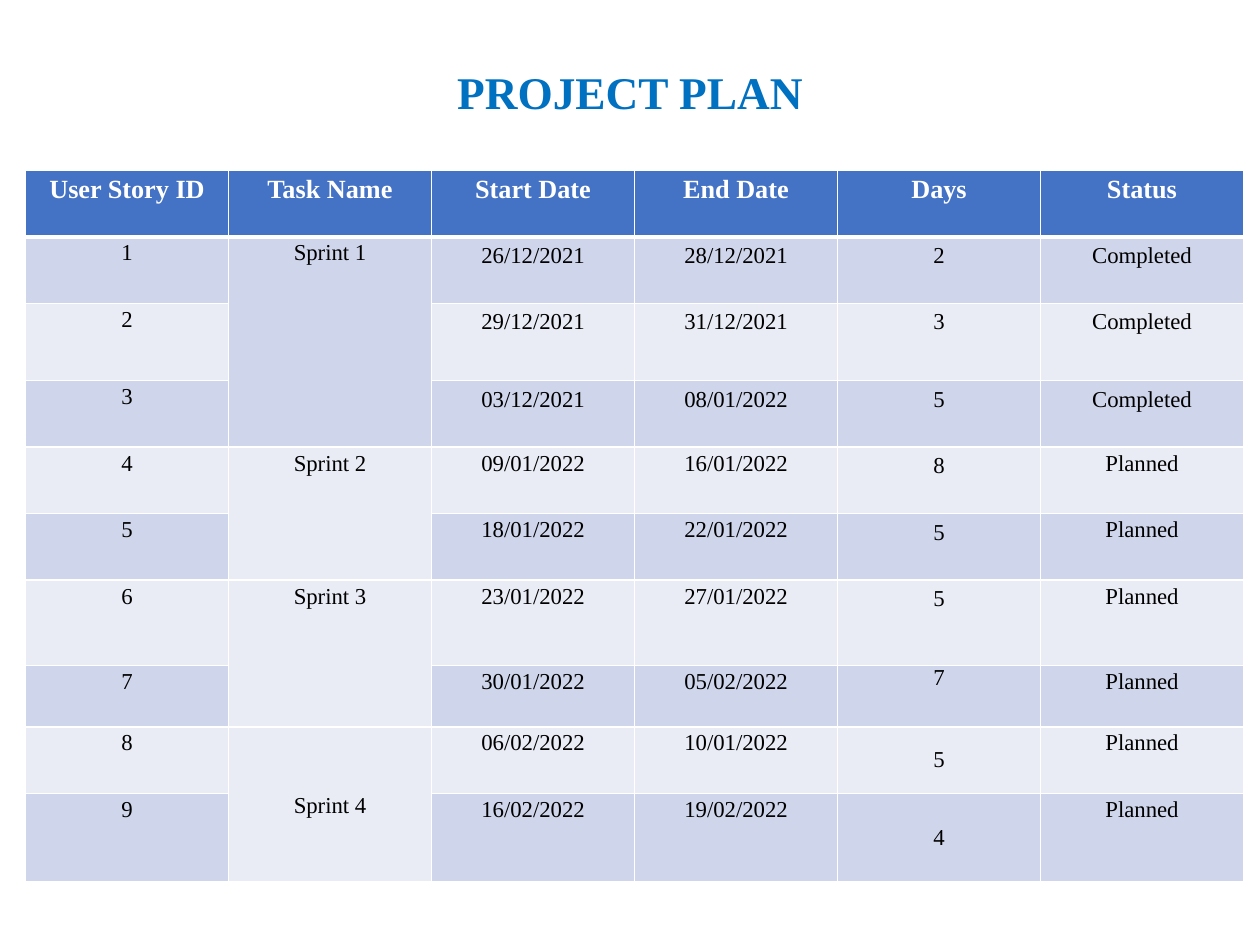
import pptx
import pptx.dml.color
import pptx.enum.text
import pptx.oxml
import pptx.oxml.ns
import pptx.util

Pt = pptx.util.Pt
ALIGN = pptx.enum.text.PP_ALIGN
ANCHOR = pptx.enum.text.MSO_ANCHOR

FONT = "Times New Roman"
COLORS = {
    "title": "0070C0",
    "header": "4472C4",
    "header_text": "FFFFFF",
    "odd": "CFD5EA",
    "even": "E9EBF5",
    "text": "000000",
    "border": "FFFFFF",
}

TITLE = "PROJECT PLAN"
HEADERS = ["User Story ID", "Task Name", "Start Date", "End Date", "Days", "Status"]
SPRINTS = [
    ("Sprint 1", [
        ("26/12/2021", "28/12/2021", "2", "Completed"),
        ("29/12/2021", "31/12/2021", "3", "Completed"),
        ("03/12/2021", "08/01/2022", "5", "Completed"),
    ]),
    ("Sprint 2", [
        ("09/01/2022", "16/01/2022", "8", "Planned"),
        ("18/01/2022", "22/01/2022", "5", "Planned"),
    ]),
    ("Sprint 3", [
        ("23/01/2022", "27/01/2022", "5", "Planned"),
        ("30/01/2022", "05/02/2022", "7", "Planned"),
    ]),
    ("Sprint 4", [
        ("06/02/2022", "10/01/2022", "5", "Planned"),
        ("16/02/2022", "19/02/2022", "4", "Planned"),
    ]),
]

COLUMN_WIDTH = 116
ROW_HEIGHTS = [38, 38, 44.2, 38, 38, 38, 48.8, 35.2, 38, 50.4]
TASK, DAYS = 1, 4
TIGHT, ROOMY, ROOMY_DAYS = (5.04, 0), (7.2, 3.6), (6.5, 3.6)


def rgb(name):
    return pptx.dml.color.RGBColor.from_string(COLORS[name])


def write(frame, text, size, color, bold, spacing):
    paragraph = frame.paragraphs[0]
    paragraph.alignment = ALIGN.CENTER
    paragraph.line_spacing = spacing
    run = paragraph.add_run()
    run.text = text
    run.font.name = FONT
    run.font.size = Pt(size)
    run.font.bold = bold
    run.font.color.rgb = rgb(color)


def draw_borders(cell, top, bottom):
    properties = cell._tc.get_or_add_tcPr()
    widths = [("L", 1), ("R", 1), ("T", top), ("B", bottom)]
    for position, (side, width) in enumerate(widths):
        properties.insert(position, pptx.oxml.parse_xml(
            f'<a:ln{side} {pptx.oxml.ns.nsdecls("a")} w="{Pt(width)}"><a:solidFill>'
            f'<a:srgbClr val="{COLORS["border"]}"/></a:solidFill></a:ln{side}>'))


def layout_of(row, column):
    if 1 <= row <= 3 and column > TASK:
        return ROOMY, 1.0
    if column == DAYS and row > 3:
        return (ROOMY_DAYS if row <= 6 else TIGHT), 1.0
    return TIGHT, 1.15


def fill_cell(plan, row, column, text):
    cell = plan.cell(row, column)
    (side, edge), spacing = layout_of(row, column)
    cell.margin_left = cell.margin_right = Pt(side)
    cell.margin_top = cell.margin_bottom = Pt(edge)
    centred = row >= 8 and column in (TASK, DAYS)
    cell.vertical_anchor = ANCHOR.MIDDLE if centred else ANCHOR.TOP
    header = row == 0
    cell.fill.solid()
    cell.fill.fore_color.rgb = rgb("header" if header else "odd" if row % 2 else "even")
    draw_borders(cell, 3 if row == 1 else 1, 3 if header else 1)
    if text:
        write(cell.text_frame, text, 15 if header else 13,
              "header_text" if header else "text", header, spacing)


def main():
    deck = pptx.Presentation()
    deck.slide_width, deck.slide_height = Pt(720), Pt(540)
    slide = deck.slides.add_slide(deck.slide_layouts[6])

    heading = slide.shapes.add_textbox(Pt(49.5), Pt(21), Pt(621), Pt(66)).text_frame
    heading.word_wrap = True
    heading.vertical_anchor = ANCHOR.MIDDLE
    write(heading, TITLE, 25.9, "title", True, 0.9)

    plan = slide.shapes.add_table(
        len(ROW_HEIGHTS), len(HEADERS), Pt(14.6), Pt(97.4),
        Pt(COLUMN_WIDTH * len(HEADERS)), Pt(sum(ROW_HEIGHTS))).table
    for column in plan.columns:
        column.width = Pt(COLUMN_WIDTH)
    for row, height in zip(plan.rows, ROW_HEIGHTS):
        row.height = Pt(height)

    rows = [HEADERS]
    for sprint, stories in SPRINTS:
        first = len(rows)
        for story in stories:
            name = sprint if len(rows) == first else ""
            rows.append([str(len(rows)), name, *story])
        plan.cell(first, TASK).merge(plan.cell(len(rows) - 1, TASK))

    for row, texts in enumerate(rows):
        for column, text in enumerate(texts):
            fill_cell(plan, row, column, text)

    deck.save("out.pptx")


if __name__ == "__main__":
    main()
